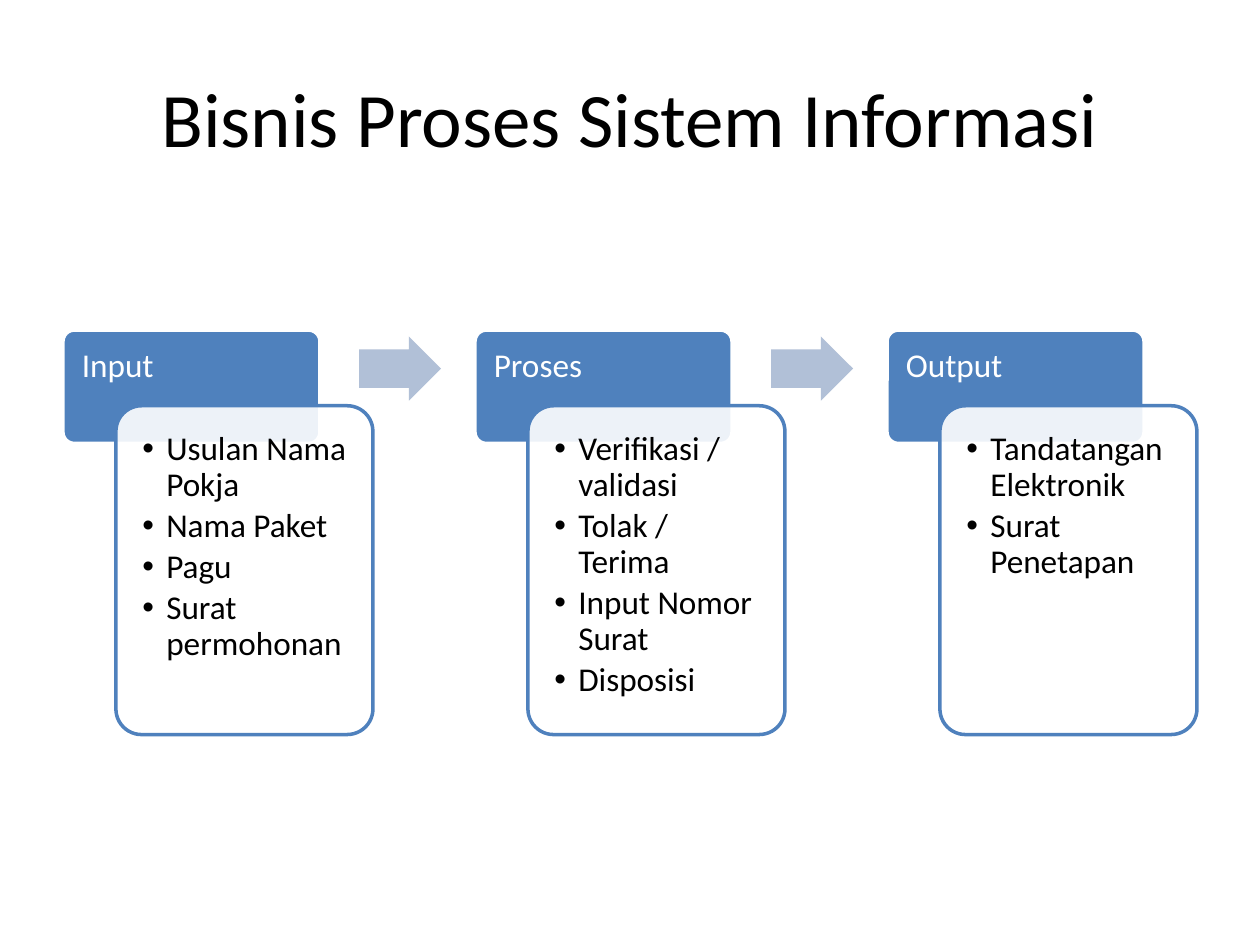
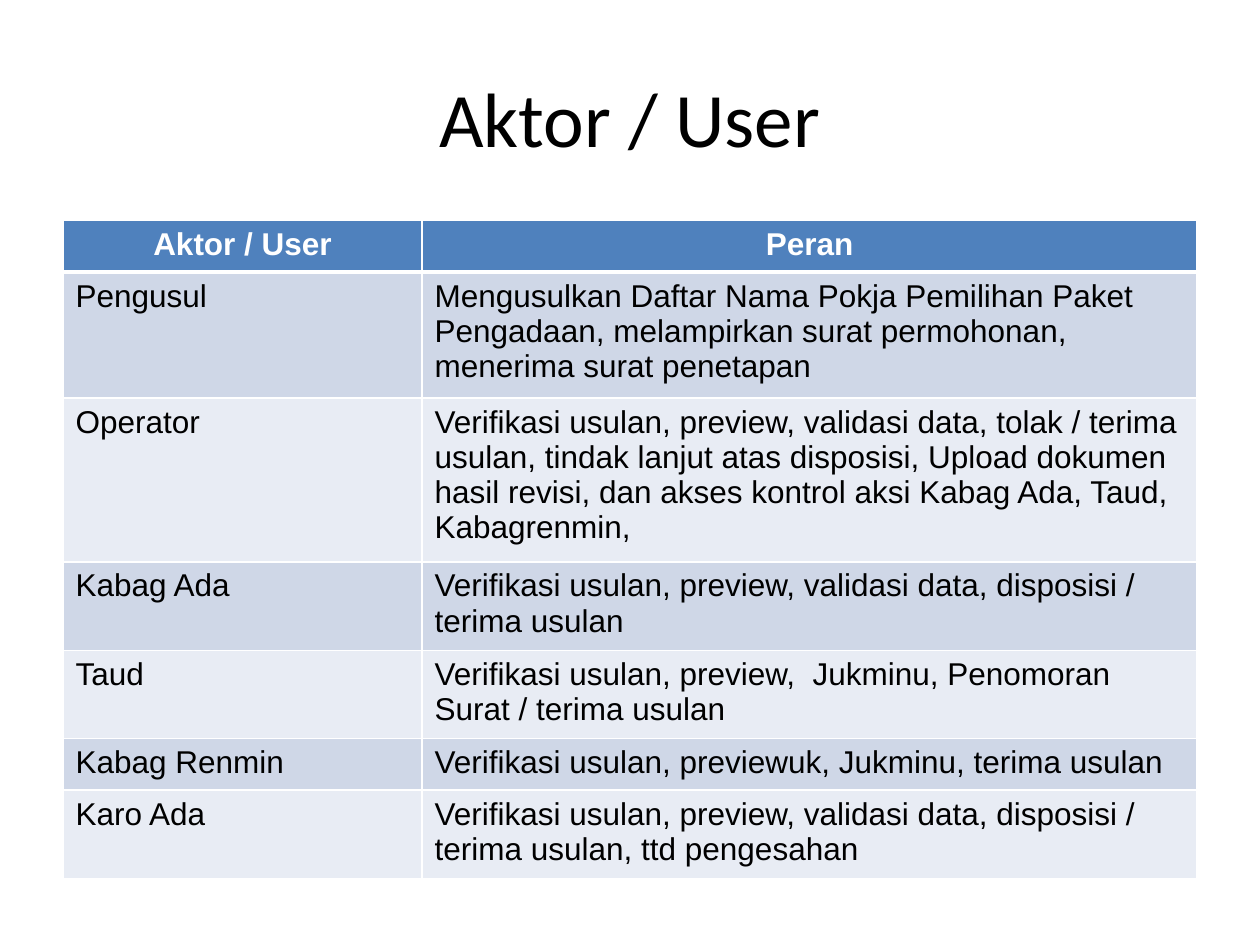
from dataclasses import dataclass

from lxml import etree
from pptx import Presentation
from pptx.dml.color import RGBColor
from pptx.enum.shapes import MSO_SHAPE
from pptx.enum.text import MSO_ANCHOR, PP_ALIGN
from pptx.oxml.ns import qn
from pptx.util import Emu, Pt

ROUND, ARROW = MSO_SHAPE.ROUNDED_RECTANGLE, MSO_SHAPE.RIGHT_ARROW
LEFT, CENTER = PP_ALIGN.LEFT, PP_ALIGN.CENTER
TOP, MIDDLE = MSO_ANCHOR.TOP, MSO_ANCHOR.MIDDLE

# Shared look; lengths are px, 100 to the inch
PX = 9144
BLUE, ARROW_BLUE = "4F81BD", "B1C0D7"
BAND_DARK, BAND_LIGHT = "CFD7E7", "E8ECF4"
WHITE, BLACK = "FFFFFF", "000000"
SIDE_INSET, TOP_INSET = 10, 5


@dataclass
class Box:
    left: int
    top: int
    width: int
    height: int

    def emu(self) -> list[Emu]:
        return [px(v) for v in (self.left, self.top, self.width, self.height)]


@dataclass
class TextStyle:
    size: int
    color: str = BLACK
    font: str = "Calibri"
    bold: bool = False
    align: PP_ALIGN = LEFT
    line_spacing: float = 1.0
    bullet: bool = False


@dataclass
class Stage:
    name: str
    items: list[str]


TITLE = TextStyle(44, align=CENTER)
STAGE_NAME = TextStyle(19, WHITE, line_spacing=0.9)
STAGE_ITEM = TextStyle(19, line_spacing=0.9, bullet=True)
TABLE_HEAD = TextStyle(18, WHITE, "Arial", bold=True, align=CENTER)
TABLE_BODY = TextStyle(18, font="Arial")

STAGES = [
    Stage("Input", ["Usulan Nama Pokja", "Nama Paket", "Pagu", "Surat permohonan"]),
    Stage("Proses", ["Verifikasi / validasi", "Tolak / Terima",
                     "Input Nomor Surat", "Disposisi"]),
    Stage("Output", ["Tandatangan Elektronik", "Surat Penetapan"]),
]
STAGE_LEFT, STAGE_STEP = 50, 327

ROLES = [
    ("Aktor / User", "Peran"),
    ("Pengusul", "Mengusulkan Daftar Nama Pokja Pemilihan Paket Pengadaan, "
                 "melampirkan surat permohonan, menerima surat penetapan"),
    ("Operator", "Verifikasi usulan, preview, validasi data, tolak / terima usulan, "
                 "tindak lanjut atas disposisi, Upload dokumen hasil revisi, "
                 "dan akses kontrol aksi Kabag Ada, Taud, Kabagrenmin,"),
    ("Kabag Ada", "Verifikasi usulan, preview, validasi data, disposisi / terima usulan"),
    ("Taud", "Verifikasi usulan, preview,  Jukminu, Penomoran Surat / terima usulan"),
    ("Kabag Renmin", "Verifikasi usulan, previewuk, Jukminu, terima usulan"),
    ("Karo Ada", "Verifikasi usulan, preview, validasi data, disposisi / "
                 "terima usulan, ttd pengesahan"),
]
COL_WIDTHS, ROW_HEIGHT = (285, 615), 41


def px(value: int) -> Emu:
    return Emu(value * PX)


def rgb(color: str) -> RGBColor:
    return RGBColor.from_string(color)


def set_attrs(obj, values: dict) -> None:
    for name, value in values.items():
        setattr(obj, name, value)


def add_bullet(p) -> None:
    pPr = p._p.get_or_add_pPr()
    pPr.set("marL", str(px(19)))
    pPr.set("indent", str(px(-19)))
    color = etree.SubElement(pPr, qn("a:buClr"))
    etree.SubElement(color, qn("a:srgbClr"), val=BLACK)
    etree.SubElement(pPr, qn("a:buFont"), typeface="Arial")
    etree.SubElement(pPr, qn("a:buChar"), char="•")


def write(tf, lines: list[str], style: TextStyle) -> None:
    for i, line in enumerate(lines):
        p = tf.paragraphs[0] if i == 0 else tf.add_paragraph()
        set_attrs(p, {"alignment": style.align, "line_spacing": style.line_spacing,
                      "space_before": Pt(2.9 if i else 0)})
        if style.bullet:
            add_bullet(p)
        r = p.add_run()
        r.text = line
        set_attrs(r.font, {"name": style.font, "size": Pt(style.size),
                           "bold": style.bold})
        r.font.color.rgb = rgb(style.color)


def add_text(s, box: Box, lines: list[str], style: TextStyle,
             insets: tuple[int, int, int, int], anchor: MSO_ANCHOR = TOP) -> None:
    tf = s.shapes.add_textbox(*box.emu()).text_frame
    left, top, right, bottom = map(px, insets)
    set_attrs(tf, {"word_wrap": True, "vertical_anchor": anchor,
                   "margin_left": left, "margin_top": top,
                   "margin_right": right, "margin_bottom": bottom})
    write(tf, lines, style)


def add_shape(s, kind: MSO_SHAPE, box: Box, adjustments: list[float], fill: str,
              line: str = "", opacity: int = 100) -> None:
    sp = s.shapes.add_shape(kind, *box.emu())
    sp.shadow.inherit = False
    for i, value in enumerate(adjustments):
        sp.adjustments[i] = value
    sp.fill.solid()
    sp.fill.fore_color.rgb = rgb(fill)
    if opacity < 100:
        color = sp._element.spPr.find(qn("a:solidFill"))[0]
        etree.SubElement(color, qn("a:alpha"), val=str(opacity * 1000))
    if line:
        sp.line.color.rgb = rgb(line)
        sp.line.width = Pt(2)
    else:
        sp.line.fill.background()


def add_slide(prs, title: str):
    s = prs.slides.add_slide(prs.slide_layouts[6])
    insets = (SIDE_INSET, TOP_INSET, SIDE_INSET, TOP_INSET)
    add_text(s, Box(50, 30, 900, 125), [title], TITLE, insets, MIDDLE)
    return s


def add_stage(s, stage: Stage, left: int, has_next: bool) -> None:
    # Heading block
    add_shape(s, ROUND, Box(left, 262, 204, 90), [0.1], BLUE, WHITE)
    add_text(s, Box(left, 262, 204, 60), [stage.name], STAGE_NAME, (15, 15, 15, 8))
    # Overlapping detail panel
    add_shape(s, ROUND, Box(left + 42, 322, 204, 261), [0.1], WHITE, BLUE, opacity=90)
    add_text(s, Box(left + 48, 328, 192, 249), stage.items, STAGE_ITEM,
             (15, 15, 15, 15))
    # Arrow to the next stage
    if has_next:
        add_shape(s, ARROW, Box(left + 235, 267, 65, 51), [0.6, 0.5], ARROW_BLUE)


def add_borders(cell, widths: dict[str, int]) -> None:
    tcPr = cell._tc.get_or_add_tcPr()
    for side, width in widths.items():
        ln = etree.SubElement(tcPr, qn(f"a:ln{side}"), w=str(Pt(width)))
        fill = etree.SubElement(ln, qn("a:solidFill"))
        etree.SubElement(fill, qn("a:srgbClr"), val=WHITE)


def add_role_table(s) -> None:
    box = Box(50, 175, sum(COL_WIDTHS), ROW_HEIGHT * len(ROLES))
    table = s.shapes.add_table(len(ROLES), len(COL_WIDTHS), *box.emu()).table
    set_attrs(table, {"first_row": False, "horz_banding": False})
    for column, width in zip(table.columns, COL_WIDTHS):
        column.width = px(width)
    for i, role in enumerate(ROLES):
        table.rows[i].height = px(ROW_HEIGHT)
        band = BAND_DARK if i % 2 else BAND_LIGHT
        fill, style = (band, TABLE_BODY) if i else (BLUE, TABLE_HEAD)
        borders = {"L": 1, "R": 1, "T": 3 if i == 1 else 1, "B": 1 if i else 3}
        for cell, text in zip(table.rows[i].cells, role):
            set_attrs(cell, {"margin_left": px(SIDE_INSET), "margin_right": px(SIDE_INSET),
                             "margin_top": px(TOP_INSET), "margin_bottom": px(TOP_INSET)})
            add_borders(cell, borders)
            cell.fill.solid()
            cell.fill.fore_color.rgb = rgb(fill)
            write(cell.text_frame, [text], style)


def main() -> None:
    prs = Presentation()
    set_attrs(prs, {"slide_width": px(1000), "slide_height": px(750)})

    # Slide 1: process stages
    s = add_slide(prs, "Bisnis Proses Sistem Informasi")
    for i, stage in enumerate(STAGES):
        add_stage(s, stage, STAGE_LEFT + i * STAGE_STEP, i < len(STAGES) - 1)

    # Slide 2: actors and roles
    s = add_slide(prs, "Aktor / User")
    add_role_table(s)

    prs.save("out.pptx")


if __name__ == "__main__":
    main()
